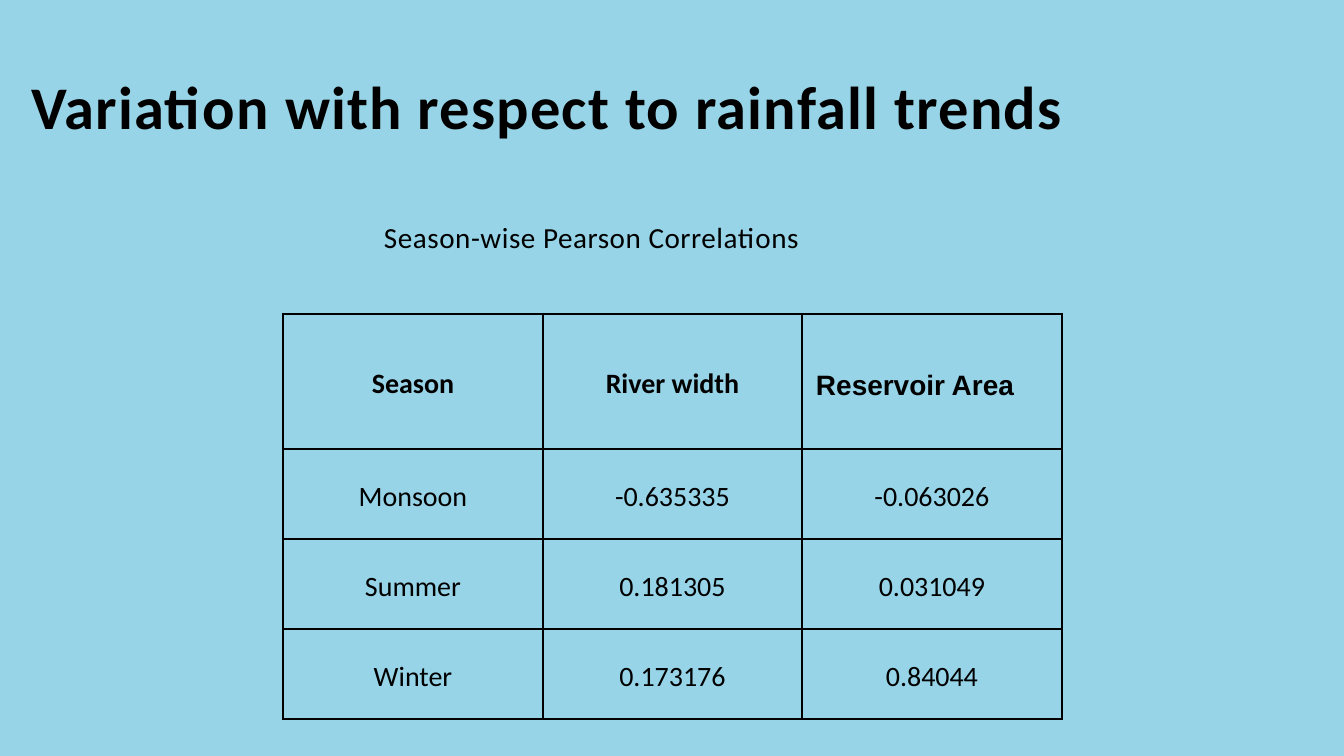
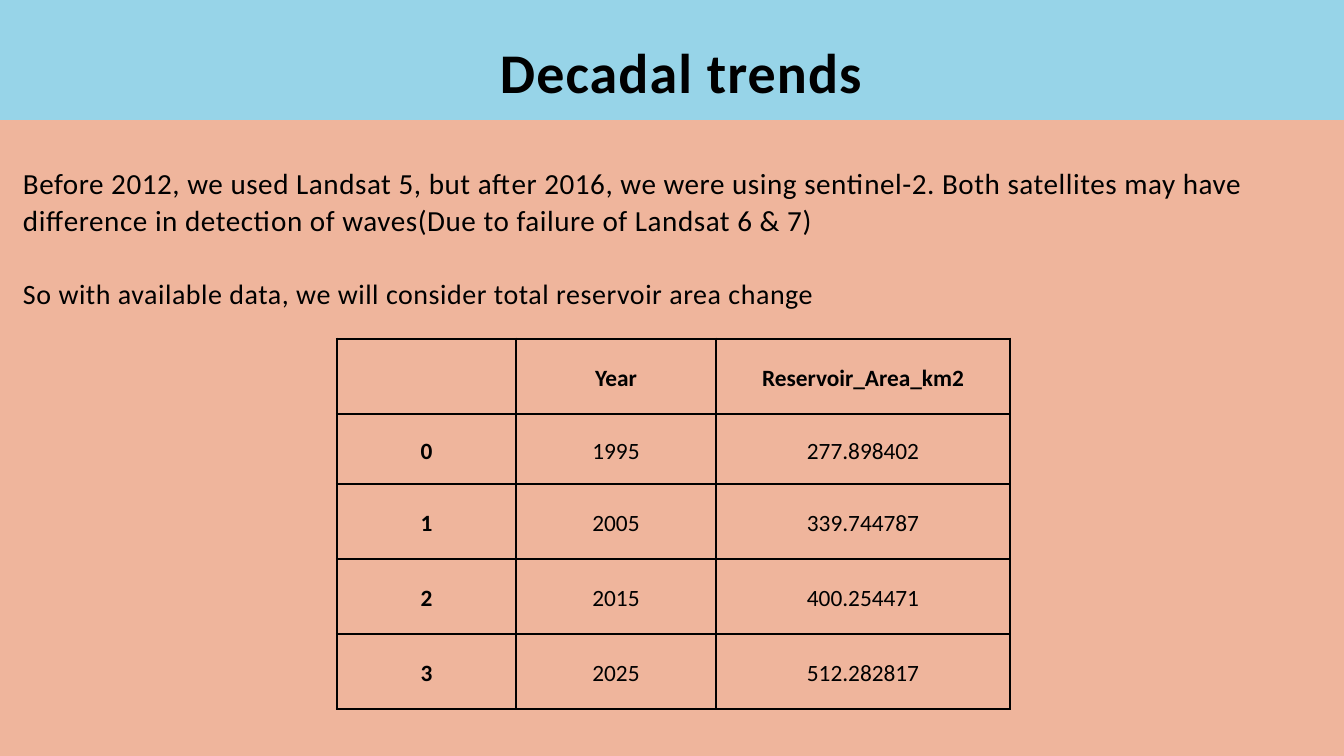
"""Build two slides on seasonal and decadal reservoir trends."""
import lxml.etree
import pptx
import pptx.dml.color
import pptx.enum.shapes
import pptx.enum.text
import pptx.oxml.ns
import pptx.util

SKY = pptx.dml.color.RGBColor(0x97, 0xD4, 0xE8)
PEACH = pptx.dml.color.RGBColor(0xEF, 0xB5, 0x9C)
BLACK = pptx.dml.color.RGBColor(0, 0, 0)
LEFT = pptx.enum.text.PP_ALIGN.LEFT
CENTER = pptx.enum.text.PP_ALIGN.CENTER
WIDTH, HEIGHT = 1344, 756
TITLE_ONLY = 5

CORRELATIONS = [
    ["Season", "River width", "Reservoir Area"],
    ["Monsoon", "-0.635335", "-0.063026"],
    ["Summer", "0.181305", "0.031049"],
    ["Winter", "0.173176", "0.84044"],
]
DECADES = [
    ["", "Year", "Reservoir_Area_km2"],
    ["0", "1995", "277.898402"],
    ["1", "2005", "339.744787"],
    ["2", "2015", "400.254471"],
    ["3", "2025", "512.282817"],
]


def px(n):
    """Turn px into EMU."""
    return pptx.util.Emu(round(n * 914400 / 67.2))


def write(p, text, size=30, bold=False, font="Calibri", align=LEFT,
          leading=39, before=0, tracking=0):
    """Write one formatted run into a paragraph."""
    p.alignment = align
    p.line_spacing = pptx.util.Pt(leading)
    p.space_before = pptx.util.Pt(before)
    r = p.add_run()
    r.text = text
    r.font.size = pptx.util.Pt(size)
    r.font.bold = bold
    r.font.name = font
    r.font.color.rgb = BLACK
    if tracking:
        r.font._element.set("spc", str(round(tracking * 100)))


def frame(shape, box):
    """Place a text shape without insets and return its text frame."""
    shape.left, shape.top, shape.width, shape.height = map(px, box)
    tf = shape.text_frame
    tf.word_wrap = True
    tf.auto_size = pptx.enum.text.MSO_AUTO_SIZE.NONE
    tf.vertical_anchor = pptx.enum.text.MSO_ANCHOR.TOP
    tf.margin_left = tf.margin_top = tf.margin_right = tf.margin_bottom = 0
    return tf


def add_titled_slide(prs, title, box, **fmt):
    """Add a slide with a formatted title."""
    s = prs.slides.add_slide(prs.slide_layouts[TITLE_ONLY])
    tf = frame(s.shapes.title, box)
    write(tf.paragraphs[0], title, bold=True, **fmt)
    return s


def add_text(s, box):
    """Add a text box and return its text frame."""
    return frame(s.shapes.add_textbox(0, 0, 0, 0), box)


def add_panel(s, top):
    """Fill the slide below a given height."""
    sp = s.shapes.add_shape(pptx.enum.shapes.MSO_SHAPE.RECTANGLE,
                            0, px(top), px(WIDTH), px(HEIGHT - top))
    sp.shadow.inherit = False
    sp.fill.solid()
    sp.fill.fore_color.rgb = PEACH
    sp.line.fill.background()


def outline(cell):
    """Draw all four borders of a cell."""
    tc_pr = cell._tc.get_or_add_tcPr()
    qn = pptx.oxml.ns.qn
    for side in "LRTB":
        ln = lxml.etree.SubElement(tc_pr, qn(f"a:ln{side}"),
                                   w=str(pptx.util.Pt(3)))
        fill = lxml.etree.SubElement(ln, qn("a:solidFill"))
        lxml.etree.SubElement(fill, qn("a:srgbClr"), val=str(BLACK))


def add_grid(s, left, top, widths, heights, rows, index=False, **fmt):
    """Add an outlined table with bold header cells."""
    table = s.shapes.add_table(len(rows), len(widths), px(left), px(top),
                               px(sum(widths)), px(sum(heights))).table
    table.first_row = table.horz_banding = False
    for column, width in zip(table.columns, widths):
        column.width = px(width)
    for row, height in zip(table.rows, heights):
        row.height = px(height)
    for i, values in enumerate(rows):
        for j, value in enumerate(values):
            cell = table.cell(i, j)
            outline(cell)
            cell.fill.background()
            cell.vertical_anchor = pptx.enum.text.MSO_ANCHOR.MIDDLE
            cell.margin_left = cell.margin_right = px(14)
            cell.margin_top = cell.margin_bottom = px(14)
            if value:
                write(cell.text_frame.paragraphs[0], value,
                      bold=i == 0 or (index and j == 0),
                      **{"align": CENTER, **fmt})
    return table


def add_seasons(prs):
    """Build the slide on seasonal correlations."""
    s = add_titled_slide(prs, "Variation with respect to rainfall trends",
                         (31, 63, 1266, 79), size=64.8, leading=84.3,
                         tracking=1.3)
    tf = add_text(s, (384, 216, 548, 81))
    write(tf.paragraphs[0], "Season-wise Pearson Correlations",
          size=31.2, leading=40.6, tracking=0.6)
    table = add_grid(s, 283, 314, [260, 259, 260], [135, 90, 90, 90],
                     CORRELATIONS, leading=42)
    p = table.cell(0, 2).text_frame.paragraphs[0]
    p.alignment = LEFT
    p.runs[0].font.name = "Arial"


def add_decades(prs):
    """Build the slide on decadal area change."""
    s = add_titled_slide(prs, "Decadal trends", (328, 32, 706, 73), size=60,
                         align=CENTER, leading=78, tracking=1.2)
    add_panel(s, 120)
    add_grid(s, 337, 339, [179, 200, 294], [75, 70, 75, 75, 75], DECADES,
             index=True, size=25, leading=35)
    tf = add_text(s, (23, 162, 1300, 149))
    write(tf.paragraphs[0],
          "Before 2012, we used Landsat 5, but after 2016, we were using "
          "sentinel-2. Both satellites may have difference in detection of "
          "waves(Due to failure of Landsat 6 & 7)",
          size=31.2, leading=40.6, tracking=0.6)
    write(tf.add_paragraph(),
          "So with available data, we will consider total reservoir area "
          "change", before=39, tracking=0.6)


def main():
    """Build and save the presentation."""
    prs = pptx.Presentation()
    prs.slide_width, prs.slide_height = px(WIDTH), px(HEIGHT)
    fill = prs.slide_master.background.fill
    fill.solid()
    fill.fore_color.rgb = SKY
    add_seasons(prs)
    add_decades(prs)
    prs.save("out.pptx")


if __name__ == "__main__":
    main()
